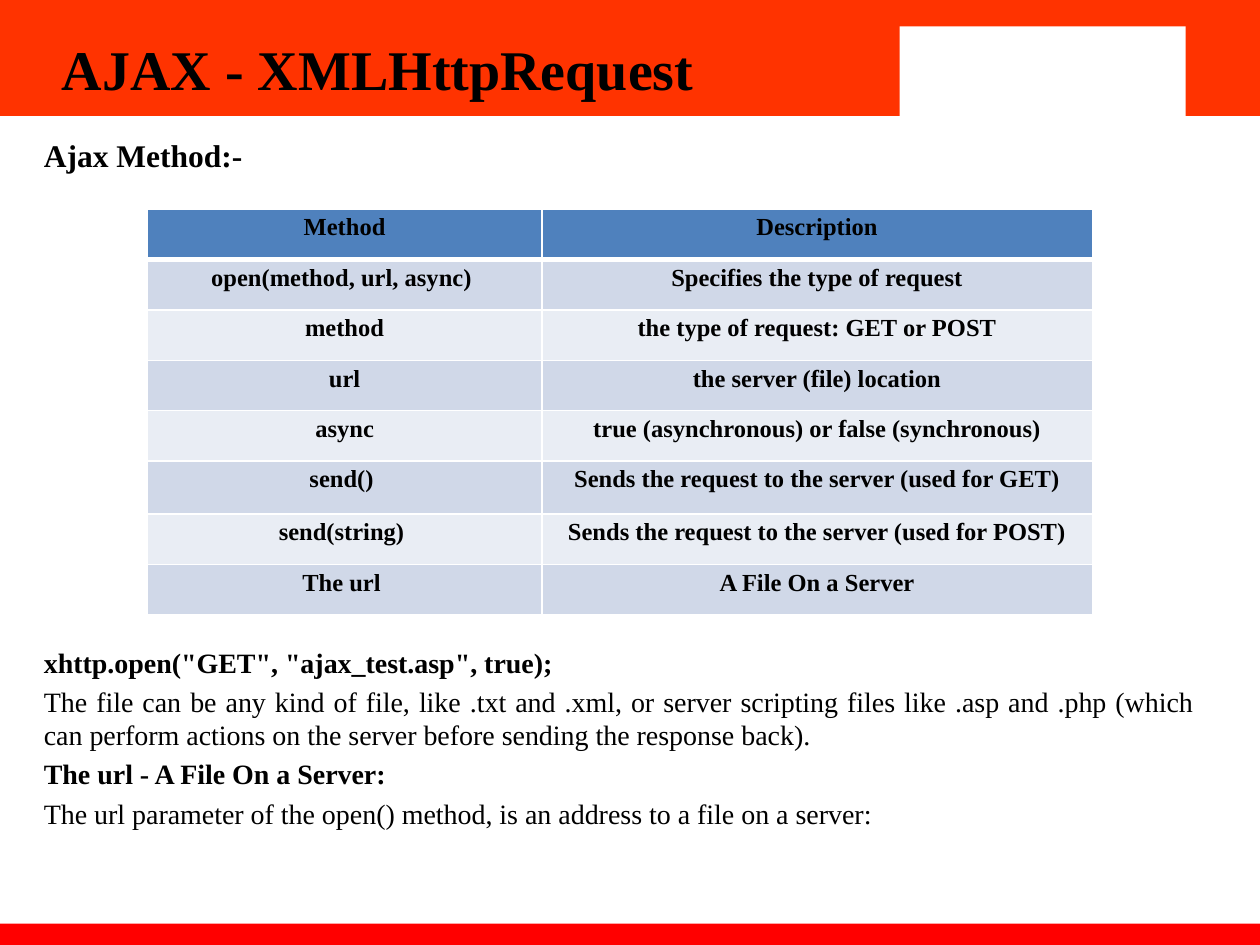
from lxml import etree
from pptx import Presentation
from pptx import util as u
from pptx.dml.color import RGBColor
from pptx.enum import shapes, text
from pptx.oxml.ns import qn

COLORS = {
    "banner": "FF3300", "footer": "FF0000", "white": "FFFFFF", "ink": "000000",
    "header": "4F81BD", "odd": "D0D8E8", "even": "E9EDF4",
}
METHODS = [
    ("Method", "Description"),
    ("open(method, url, async) ", "Specifies the type of request"),
    ("method", "the type of request: GET or POST"),
    ("url", "the server (file) location"),
    ("async", "true (asynchronous) or false (synchronous)"),
    ("send() ", "Sends the request to the server (used for GET)"),
    ("send(string) ", "Sends the request to the server (used for POST)"),
    ("The url ", "A File On a Server"),
]
NOTES = [
    ('xhttp.open("GET", "ajax_test.asp", true);', True),
    ("The file can be any kind of file, like .txt and .xml, or server scripting "
     "files like .asp and .php (which can perform actions on the server before "
     "sending the response back).", False),
    ("The url - A File On a Server:", True),
    ("The url parameter of the open() method, is an address to a file on a server:",
     False),
]


def rgb(name):
    return RGBColor.from_string(COLORS[name])


class SlideBuilder:
    font = "Times New Roman"

    def __init__(self, slide):
        self.slide = slide

    def bar(self, left, top, width, height, color):
        bar = self.slide.shapes.add_shape(
            shapes.MSO_SHAPE.RECTANGLE, *map(u.Inches, (left, top, width, height)))
        bar.shadow.inherit = False
        bar.fill.solid()
        bar.fill.fore_color.rgb = rgb(color)
        bar.line.fill.background()

    def add_words(self, paragraph, words, size, bold=True, **layout):
        for key, value in layout.items():
            setattr(paragraph, key, value)
        run = paragraph.add_run()
        run.text = words
        style = {"name": self.font, "size": u.Pt(size), "bold": bold}
        for key, value in style.items():
            setattr(run.font, key, value)
        run.font.color.rgb = rgb("ink")

    def textbox(self, left, top, width, height, lines, size, align,
                anchor=text.MSO_ANCHOR.TOP, gap=0):
        box = self.slide.shapes.add_textbox(
            *map(u.Inches, (left, top, width, height)))
        frame = box.text_frame
        for key, value in {"word_wrap": True, "vertical_anchor": anchor}.items():
            setattr(frame, key, value)
        for i, (words, bold) in enumerate(lines):
            paragraph = frame.add_paragraph() if i else frame.paragraphs[0]
            self.add_words(paragraph, words, size, bold, alignment=align,
                           space_before=u.Pt(gap if i else 0))

    def borders(self, cell, bottom):
        # Borders come before the fill in the cell properties
        props = cell._tc.get_or_add_tcPr()
        for i, (side, points) in enumerate(
                {"lnL": 1, "lnR": 1, "lnT": 1, "lnB": bottom}.items()):
            line = etree.Element(qn(f"a:{side}"), w=str(u.Pt(points)))
            fill = etree.SubElement(line, qn("a:solidFill"))
            etree.SubElement(fill, qn("a:srgbClr"), val=COLORS["white"])
            props.insert(i, line)

    def table(self, left, top, widths, heights, rows):
        grid = self.slide.shapes.add_table(
            len(rows), len(widths), *map(u.Inches, (left, top, sum(widths), sum(heights)))
        ).table
        for column, width in zip(grid.columns, widths):
            column.width = u.Inches(width)
        margins = {"margin_left": 0.07, "margin_right": 0.07,
                   "margin_top": 0.04, "margin_bottom": 0.04}
        for r, (row, height) in enumerate(zip(rows, heights)):
            grid.rows[r].height = u.Inches(height)
            color = "header" if r == 0 else "odd" if r % 2 else "even"
            for c, words in enumerate(row):
                cell = grid.cell(r, c)
                for key, value in margins.items():
                    setattr(cell, key, u.Inches(value))
                cell.fill.solid()
                cell.fill.fore_color.rgb = rgb(color)
                self.borders(cell, 1 if r else 3)
                self.add_words(cell.text_frame.paragraphs[0], words, 14,
                               alignment=text.PP_ALIGN.CENTER)


def main():
    deck = Presentation()
    deck.slide_width, deck.slide_height = u.Inches(10), u.Inches(7.5)
    page = SlideBuilder(deck.slides.add_slide(deck.slide_layouts[6]))

    # Banner with its white panel, and the footer strip
    page.bar(0, 0, 10, 0.92, "banner")
    page.bar(0, 7.33, 10, 0.22, "footer")
    page.bar(7.14, 0.21, 2.27, 0.75, "white")

    # Title and heading
    page.textbox(0, 0.04, 6, 1, [("AJAX - XMLHttpRequest", True)], 32,
                 text.PP_ALIGN.CENTER, text.MSO_ANCHOR.MIDDLE)
    page.textbox(0.25, 1.03, 9.33, 0.45, [("Ajax Method:-", True)], 18,
                 text.PP_ALIGN.JUSTIFY)

    # Method table
    heights = [0.42 if row[0] == "send() " else 0.4 for row in METHODS]
    page.table(1.17, 1.66, (3.13, 4.37), heights, METHODS)

    # Notes on the url
    page.textbox(0.25, 5.07, 9.33, 1.65, NOTES, 16, text.PP_ALIGN.JUSTIFY, gap=3.2)

    deck.save("out.pptx")


if __name__ == "__main__":
    main()
